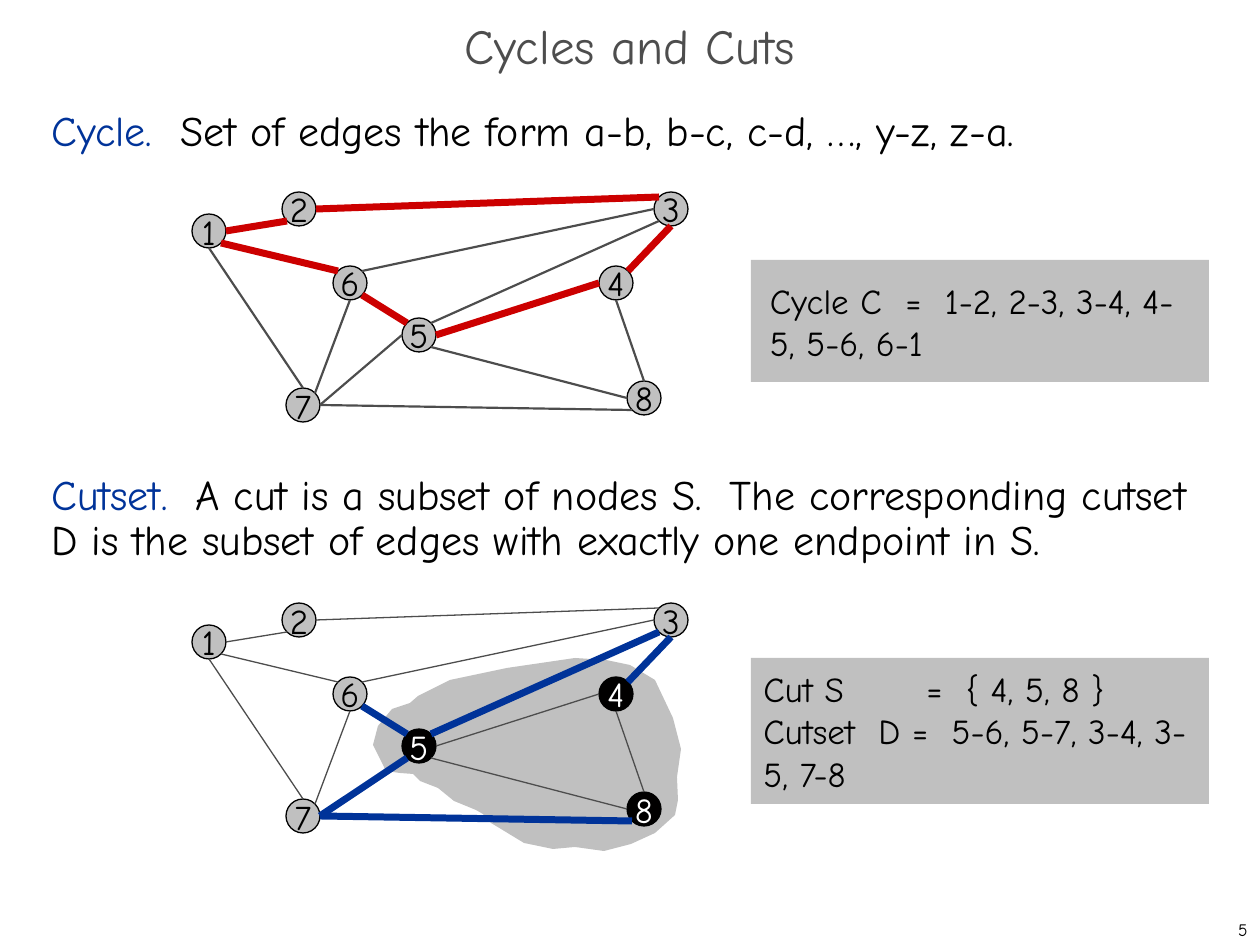
from dataclasses import dataclass
from typing import Any

from pptx import Presentation
from pptx.dml.color import RGBColor
from pptx.enum.shapes import MSO_CONNECTOR, MSO_SHAPE
from pptx.enum.text import MSO_ANCHOR, MSO_AUTO_SIZE, PP_ALIGN
from pptx.oxml.ns import qn
from pptx.util import Pt
from lxml.etree import SubElement

SCALE = 914400 / 126  # EMU in one px
FONT = "Comic Neue"
BLACK = RGBColor(0x00, 0x00, 0x00)
WHITE = RGBColor(0xFF, 0xFF, 0xFF)
GREY = RGBColor(0xC0, 0xC0, 0xC0)
DARK = RGBColor(0x4D, 0x4D, 0x4D)
BLUE = RGBColor(0x00, 0x33, 0x99)
RED = RGBColor(0xCC, 0x00, 0x00)
NIGHT = RGBColor(0x01, 0x00, 0x00)

# Node discs: left and top, from the top of the graph
SIZE = 34
NODES = {1: (192, 22), 3: (654, 0), 8: (627, 189), 2: (282, 0),
         6: (333, 74), 7: (286, 196), 4: (599, 74), 5: (402, 126)}
# Points on the rim where edges dock, from the disc's corner
DOCKS = {"N": (17, 0), "NE": (29, 5), "E": (34, 17), "SE": (29, 29),
         "S": (17, 34), "SW": (5, 29), "W": (0, 17), "NW": (5, 5)}
EDGES = {(1, 2): ("E", "SW"), (1, 6): ("SE", "NW"), (1, 7): ("S", "N"),
         (6, 3): ("NE", "W"), (4, 3): ("NE", "S"), (6, 5): ("SE", "NW"),
         (5, 8): ("SE", "W"), (5, 4): ("E", "W"), (4, 8): ("S", "N"),
         (3, 5): ("SW", "NE"), (6, 7): ("S", "NE"), (7, 5): ("E", "W"),
         (2, 3): ("E", "NW"), (7, 8): ("E", "SW")}
# Outline of the cut's region
REGION = [(418, 696), (450, 680), (507, 668), (575, 658), (606, 660), (630, 665),
          (655, 680), (673, 718), (681, 749), (677, 777), (678, 800), (675, 815),
          (655, 833), (631, 844), (604, 851), (575, 847), (553, 849), (524, 843),
          (501, 829), (491, 823), (483, 814), (476, 810), (454, 801), (438, 788),
          (420, 781), (413, 774), (400, 773), (386, 771), (373, 745), (378, 726),
          (392, 709), (410, 703)]


@dataclass
class Graph:
    top: int
    edges: dict[tuple[int, int], tuple[str, str]]
    bold: set[tuple[int, int]]
    tint: RGBColor
    thin: float
    cut: set[int]


@dataclass
class Part:
    text: str
    tint: RGBColor = BLACK


Line = list[Part]


def px(count: int) -> int:
    return round(count * SCALE)


def apply(item: Any, **values: Any) -> None:
    for name, value in values.items():
        setattr(item, name, value)


def write(shape: Any, lines: list[Line], size: int,
          para: dict[str, Any] | None = None, **frame: Any) -> None:
    text = shape.text_frame
    form = {"word_wrap": True, "vertical_anchor": MSO_ANCHOR.MIDDLE}
    apply(text, **(form | frame))
    for i, line in enumerate(lines):
        row = text.paragraphs[0] if i == 0 else text.add_paragraph()
        apply(row, **({"alignment": PP_ALIGN.LEFT} | (para or {})))
        for part in line:
            run = row.add_run()
            run.text = part.text
            apply(run.font, name=FONT, size=Pt(size))
            run.font.color.rgb = part.tint


def label(slide: Any, spot: tuple[int, int, int, int]) -> Any:
    return slide.shapes.add_textbox(*map(px, spot))


def paint(shape: Any, fill: RGBColor) -> None:
    shape.shadow.inherit = False
    shape.fill.solid()
    shape.fill.fore_color.rgb = fill
    shape.line.fill.background()


def solid(slide: Any, kind: MSO_SHAPE, spot: tuple[int, int, int, int],
          fill: RGBColor) -> Any:
    shape = slide.shapes.add_shape(kind, *map(px, spot))
    paint(shape, fill)
    return shape


def panel(slide: Any, top: int, height: int, lines: list[Line], **frame: Any) -> Any:
    shape = solid(slide, MSO_SHAPE.RECTANGLE, (751, top, 458, height), GREY)
    write(shape, lines, 20, auto_size=MSO_AUTO_SIZE.SHAPE_TO_FIT_TEXT, **frame)
    return shape


def node(slide: Any, num: int, x: int, y: int, dark: bool) -> None:
    disc = solid(slide, MSO_SHAPE.OVAL, (x, y, SIZE, SIZE), NIGHT if dark else GREY)
    disc.line.color.rgb = BLACK
    disc.line.width = Pt(0.75)
    write(disc, [[Part(str(num), WHITE if dark else BLACK)]], 20,
          {"alignment": PP_ALIGN.CENTER}, word_wrap=False)


def edge(slide: Any, start: tuple[int, int], end: tuple[int, int],
         tint: RGBColor, width: float) -> None:
    link = slide.shapes.add_connector(MSO_CONNECTOR.STRAIGHT, *map(px, start + end))
    link.line.color.rgb = tint
    link.line.width = Pt(width)
    SubElement(link._element.spPr, qn("a:effectLst"))


def draw(slide: Any, graph: Graph) -> None:
    def dock(num: int, side: str) -> tuple[int, int]:
        (x, y), (dx, dy) = NODES[num], DOCKS[side]
        return x + dx, graph.top + y + dy

    for num, (x, y) in NODES.items():
        node(slide, num, x, graph.top + y, num in graph.cut)
    for pair, sides in graph.edges.items():
        start, end = map(dock, pair, sides)
        bold = pair in graph.bold
        edge(slide, start, end, graph.tint if bold else DARK, 4 if bold else graph.thin)


def region(slide: Any) -> None:
    first, *rest = REGION
    pen = slide.shapes.build_freeform(*first, scale=SCALE)
    pen.add_line_segments(rest, close=True)
    paint(pen.convert_to_shape(), GREY)


def main() -> None:
    deck = Presentation()
    apply(deck, slide_width=px(1260), slide_height=px(945))
    slide = deck.slides.add_slide(deck.slide_layouts[6])
    region(slide)

    # Page number, title and body
    write(label(slide, (998, 914, 262, 31)), [[Part("5")]], 10,
          {"alignment": PP_ALIGN.RIGHT}, word_wrap=False)
    write(label(slide, (0, 21, 1260, 63)), [[Part("Cycles and Cuts", DARK)]], 28,
          {"alignment": PP_ALIGN.CENTER, "line_spacing": 0.7})
    body = label(slide, (39, 103, 1183, 791))
    write(body, [
        [Part("Cycle.  ", BLUE), Part("Set of edges the form a-b, b-c, c-d, …, y-z, z-a.")],
        [Part("Cutset.  ", BLUE), Part("A cut is a subset of nodes S.  The corresponding "
              "cutset D is the subset of edges with exactly one endpoint in S.")],
    ], 24, {"line_spacing": Pt(26)}, vertical_anchor=MSO_ANCHOR.TOP)
    body.text_frame.paragraphs[1].space_before = Pt(7 * 26)

    # Cycle panel
    pad = px(19)
    panel(slide, 260, 122, [[Part("Cycle C  =  1-2, 2-3, 3-4, 4-5, 5-6, 6-1")]],
          margin_left=pad, margin_right=pad, margin_top=pad, margin_bottom=pad)

    # Cutset graph and its panel
    draw(slide, Graph(603, EDGES | {(7, 5): ("E", "SW")},
                      {(6, 5), (7, 5), (4, 3), (3, 5), (7, 8)}, BLUE, 0.75, {4, 5, 8}))
    pad = px(10)
    cut = panel(slide, 658, 146, [[Part("Cut S\t=  { 4, 5, 8 }")],
                                  [Part("Cutset  D =  5-6, 5-7, 3-4, 3-5, 7-8")]],
                margin_top=pad, margin_bottom=pad)
    props = cut.text_frame.paragraphs[0]._p.get_or_add_pPr()
    tabs = SubElement(props, qn("a:tabLst"))
    SubElement(tabs, qn("a:tab"), pos=str(px(163)), algn="l")

    # Cycle graph
    draw(slide, Graph(192, EDGES, {(1, 2), (2, 3), (4, 3), (5, 4), (6, 5), (1, 6)},
                      RED, 1.25, set()))
    deck.save("out.pptx")


if __name__ == "__main__":
    main()
